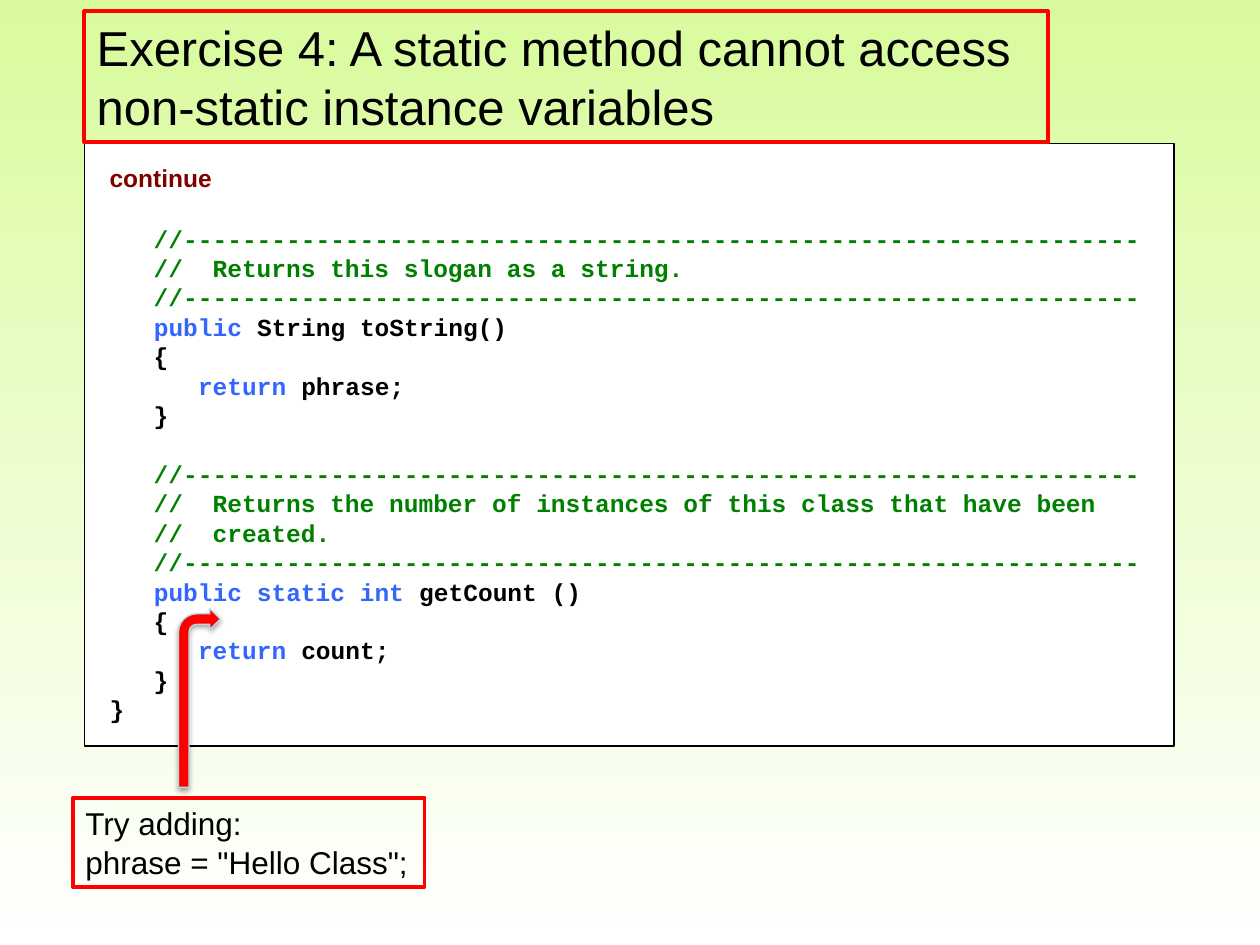
from lxml import etree
from pptx import Presentation
from pptx import util as u
from pptx.dml.color import RGBColor
from pptx.enum import shapes, text
from pptx.oxml.ns import qn

RED, BLACK, WHITE = "FF0000", "000000", "FFFFFF"
GREEN, BLUE, MAROON = "008000", "3366FF", "800000"
RULE = [("   //" + "-" * 65, GREEN)]
CODE_PITCH = 16.82

# Each block is a list of lines; each line is a list of (words, colour)
TO_STRING = [
    RULE,
    [("   //  Returns this slogan as a string.", GREEN)],
    RULE,
    [("   ", BLACK), ("public ", BLUE), ("String toString()", BLACK)],
    [("   {", BLACK)],
    [("      ", BLACK), ("return ", BLUE), ("phrase;", BLACK)],
    [("   }", BLACK)],
]
GET_COUNT = [
    RULE,
    [("   //  Returns the number of instances of this class that have been", GREEN)],
    [("   //  created.", GREEN)],
    RULE,
    [("   ", BLACK), ("public static int ", BLUE), ("getCount ()", BLACK)],
    [("   {", BLACK)],
    [("      ", BLACK), ("return ", BLUE), ("count;", BLACK)],
    [("   }", BLACK)],
    [("}", BLACK)],
]


def colour(value):
    return RGBColor.from_string(value)


def paint_background(page, top, bottom):
    fill = page.background.fill
    fill.gradient()
    fill.gradient_angle = 270
    for stop, value, position in zip(fill.gradient_stops, (top, bottom), (0, 1)):
        stop.color.rgb = colour(value)
        stop.position = position


def add_figure(page, kind, place, fill, line, weight):
    figure = page.shapes.add_shape(kind, *(u.Cm(length) for length in place))
    figure.shadow.inherit = False
    if fill:
        figure.fill.solid()
        figure.fill.fore_color.rgb = colour(fill)
    else:
        figure.fill.background()
    figure.line.color.rgb = colour(line)
    figure.line.width = u.Pt(weight)
    return figure


def add_box(page, place, fill, line, weight, margins):
    box = add_figure(page, shapes.MSO_SHAPE.RECTANGLE, place, fill, line, weight)
    frame = box.text_frame
    frame.word_wrap = True
    frame.vertical_anchor = text.MSO_ANCHOR.TOP
    frame.margin_left = frame.margin_right = u.Cm(margins[0])
    frame.margin_top = frame.margin_bottom = u.Cm(margins[1])
    return frame


def add_line(frame, spans, font, size, pitch, bold=False, before=0):
    para = frame.paragraphs[0]
    if para.runs:
        para = frame.add_paragraph()
    para.alignment = text.PP_ALIGN.LEFT
    para.line_spacing = u.Pt(pitch)
    para.space_before = u.Pt(before)
    for words, value in spans:
        span = para.add_run()
        span.text = words
        span.font.name = font
        span.font.size = u.Pt(size)
        span.font.bold = bold
        span.font.color.rgb = colour(value)


def add_code(frame):
    add_line(frame, [("continue", MAROON)], "Arial", 14, CODE_PITCH, True)
    for block, gap in ((TO_STRING, 18), (GET_COUNT, CODE_PITCH)):
        for index, spans in enumerate(block):
            add_line(frame, spans, "Courier New", 14, CODE_PITCH, True,
                     0 if index else gap)


def add_note(page, place, lines, size, pitch):
    frame = add_box(page, place, None, RED, 2.25, (0.25, 0.13))
    for words in lines:
        add_line(frame, [(words, BLACK)], "Arial", size, pitch)


def add_shadow(figure, value, alpha, blur, distance):
    effects = figure._element.spPr.find(qn("a:effectLst"))
    shadow = etree.SubElement(
        effects, qn("a:outerShdw"), blurRad=str(u.Pt(blur)),
        dist=str(u.Pt(distance)), dir="5400000", rotWithShape="0")
    tint = etree.SubElement(shadow, qn("a:srgbClr"), val=value)
    etree.SubElement(tint, qn("a:alpha"), val=str(alpha * 1000))


def main():
    deck = Presentation()
    deck.slide_width, deck.slide_height = u.Cm(25.4), u.Cm(19.05)
    page = deck.slides.add_slide(deck.slide_layouts[6])
    paint_background(page, "D9FB9D", WHITE)

    # Code listing
    add_code(add_box(page, (1.7, 2.9, 21.97, 12.14), WHITE, BLACK, 0.75, (0.51, 0.38)))

    # Hint and title
    add_note(page, (1.47, 16.08, 7.09, 1.8),
             ["Try adding:", 'phrase = "Hello Class";'], 18, 21.8)
    add_note(page, (1.7, 0.23, 19.43, 2.64),
             ["Exercise 4: A static method cannot access",
              "non-static instance variables"], 28, 33.7)

    # Arrow from the hint into the method body
    arrow = add_figure(page, shapes.MSO_SHAPE.BENT_ARROW,
                       (3.6, 12.27, 0.84, 3.6), RED, "B6DCDF", 0.75)
    add_shadow(arrow, BLACK, 35, 3.1, 1.8)

    deck.save("out.pptx")


if __name__ == "__main__":
    main()
